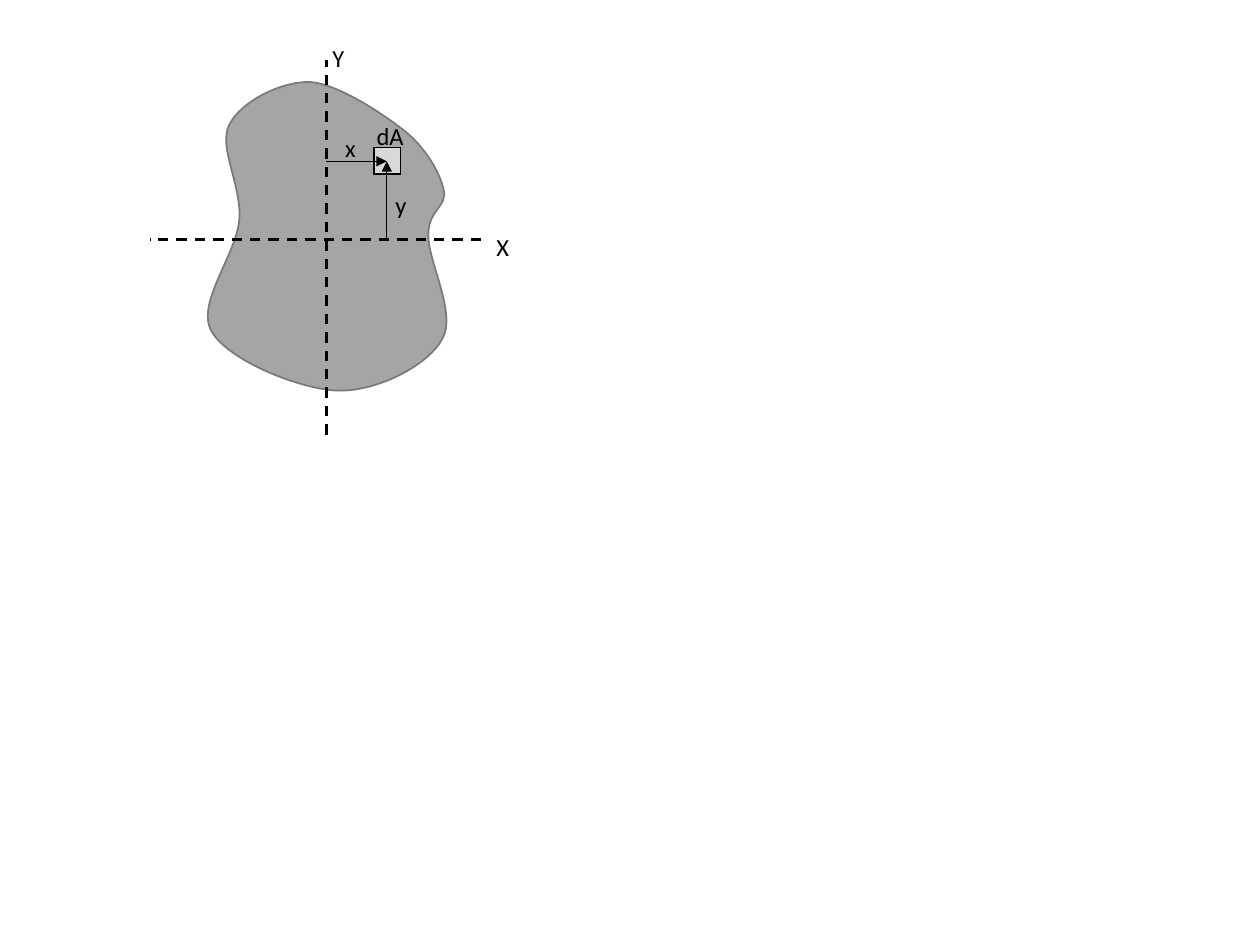
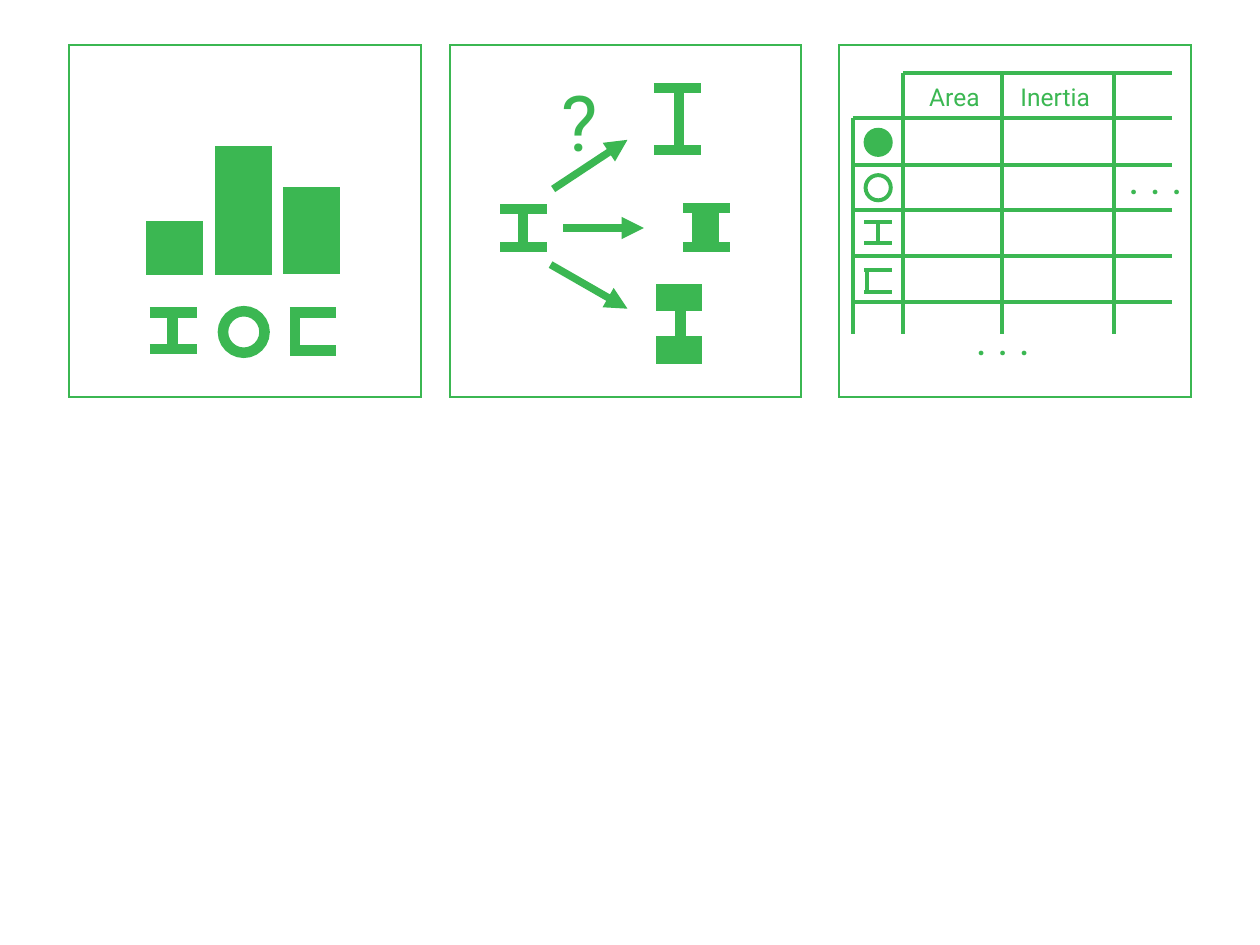
from dataclasses import dataclass
from lxml.etree import SubElement
from pptx import Presentation
from pptx.dml.color import RGBColor
from pptx.enum.dml import MSO_LINE
from pptx.enum.shapes import MSO_CONNECTOR, MSO_SHAPE
from pptx.enum.text import PP_ALIGN
from pptx.oxml.ns import qn
from pptx.util import Inches, Pt


@dataclass
class Theme:
    black: str = "000000"
    gray: str = "A5A5A5"
    edge: str = "7A7A7A"
    pale: str = "D9D9D9"
    green: str = "3BB752"
    plain: str = "Calibri"
    sign: str = "Roboto"
    small: float = 14
    dots: float = 24
    huge: float = 44
    hair: float = 0.5
    thin: float = 1
    axis: float = 1.5
    grid: float = 2.25
    arrow: float = 4.25
    bold: float = 6
    stout: float = 15.25
    wide: float = 15.75


theme = Theme()


def write(text, slide, box, font=theme.sign, size=theme.small,
          color=theme.green, align=PP_ALIGN.CENTER):
    frame = slide.shapes.add_textbox(*map(Inches, box)).text_frame
    frame.word_wrap = True
    par = frame.paragraphs[0]
    par.alignment = align
    run = par.add_run()
    run.text = text
    run.font.name = font
    run.font.size = Pt(size)
    run.font.color.rgb = RGBColor.from_string(color)


def link(slide, ends, width, color=theme.green, dash=None, head=False):
    line = slide.shapes.add_connector(MSO_CONNECTOR.STRAIGHT, *map(Inches, ends))
    line.line.width = Pt(width)
    line.line.color.rgb = RGBColor.from_string(color)
    if dash:
        line.line.dash_style = dash
    props = line._element.spPr
    if head:
        SubElement(props.find(qn("a:ln")), qn("a:tailEnd"), type="triangle")
    SubElement(props, qn("a:effectLst"))


deck = Presentation()
deck.slide_width, deck.slide_height = Inches(10), Inches(7.5)
blank = deck.slide_layouts[6]

area = deck.slides.add_slide(blank)
start = (3.2, 1.03)
curves = [
    [(3.02, 0.89), (2.67, 0.66), (2.45, 0.65)],
    [(2.22, 0.65), (1.91, 0.81), (1.82, 0.99)],
    [(1.73, 1.17), (1.92, 1.47), (1.9, 1.74)],
    [(1.88, 2.02), (1.55, 2.41), (1.68, 2.63)],
    [(1.81, 2.86), (2.38, 3.09), (2.68, 3.1)],
    [(2.99, 3.11), (3.4, 2.9), (3.51, 2.69)],
    [(3.63, 2.49), (3.39, 2.06), (3.4, 1.86)],
    [(3.4, 1.66), (3.56, 1.64), (3.52, 1.5)],
    [(3.49, 1.37), (3.38, 1.17), start],
]
pen = area.shapes.build_freeform(*map(Inches, start))
pen.add_line_segments([tuple(map(Inches, curve[-1])) for curve in curves])
blob = pen.convert_to_shape()
sides = list(blob._element.spPr.iter(qn("a:lnTo")))
for side, curve in zip(sides, curves):
    bend = SubElement(side.getparent(), qn("a:cubicBezTo"))
    for x, y in curve:
        SubElement(bend, qn("a:pt"), x=str(Inches(x) - blob.left),
                   y=str(Inches(y) - blob.top))
    side.getparent().replace(side, bend)

patch = area.shapes.add_shape(
    MSO_SHAPE.RECTANGLE, *map(Inches, (2.97, 1.17, 0.21, 0.21)))
for shape, fill, edge in [(blob, theme.gray, theme.edge),
                          (patch, theme.pale, theme.black)]:
    shape.shadow.inherit = False
    shape.fill.solid()
    shape.fill.fore_color.rgb = RGBColor.from_string(fill)
    shape.line.color.rgb = RGBColor.from_string(edge)
    shape.line.width = Pt(theme.thin)
    SubElement(shape._element.spPr.find(qn("a:ln")), qn("a:miter"), lim="800000")

mid_x, mid_y, spot_x, spot_y = 2.59, 1.9, 3.07, 1.28
for ends in [(3.82, mid_y, 1.19, mid_y), (mid_x, 3.45, mid_x, 0.48)]:
    link(area, ends, theme.axis, theme.black, dash=MSO_LINE.DASH)
for ends in [(spot_x, mid_y, spot_x, spot_y), (mid_x, spot_y, spot_x, spot_y)]:
    link(area, ends, theme.hair, theme.black, head=True)
for text, left, top, width in [
    ("Y", 2.54, 0.29, 0.35),
    ("X", 3.84, 1.79, 0.35),
    ("dA", 2.89, 0.91, 0.44),
    ("y", 3.04, 1.46, 0.35),
    ("x", 2.64, 1.01, 0.35),
]:
    write(text, area, (left, top, width, 0.34), font=theme.plain,
          color=theme.black, align=PP_ALIGN.LEFT)

icons = deck.slides.add_slide(blank)
rect, oval = MSO_SHAPE.RECTANGLE, MSO_SHAPE.OVAL
forms = [(rect, (left, 0.36, 2.79, 2.79), False, theme.thin)
         for left in (0.55, 3.57, 6.66)]
forms += [(rect, (left, top, 0.37, tall), True, theme.bold)
          for left, top, tall in [(1.2, 1.8, 0.34), (1.75, 1.2, 0.94), (2.29, 1.53, 0.6)]]
forms += [
    (oval, (1.77, 2.47, 0.33, 0.33), False, theme.bold),
    (oval, (6.87, 1.03, 0.2, 0.2), True, theme.grid),
    (oval, (6.87, 1.39, 0.2, 0.2), False, theme.grid),
]
for kind, box, solid, width in forms:
    shape = icons.shapes.add_shape(kind, *map(Inches, box))
    shape.shadow.inherit = False
    if solid:
        shape.fill.solid()
        shape.fill.fore_color.rgb = RGBColor.from_string(theme.green)
    else:
        shape.fill.background()
    shape.line.color.rgb = RGBColor.from_string(theme.green)
    shape.line.width = Pt(width)
    SubElement(shape._element.spPr.find(qn("a:ln")), qn("a:miter"), lim="800000")

for left, top, base, span, inset, flange, web in [
    (1.19, 2.48, 2.77, 0.37, 0.18, theme.bold, theme.bold),
    (2.3, 2.48, 2.78, 0.37, 0.04, theme.bold, theme.bold),
    (3.97, 1.66, 1.96, 0.37, 0.18, theme.bold, theme.bold),
    (5.19, 0.7, 1.19, 0.37, 0.2, theme.bold, theme.bold),
    (5.42, 1.65, 1.96, 0.37, 0.18, theme.bold, theme.stout),
    (5.21, 2.36, 2.78, 0.36, 0.19, theme.wide, theme.bold),
    (6.86, 1.76, 1.93, 0.22, 0.11, theme.grid, theme.grid),
    (6.86, 2.14, 2.32, 0.22, 0.02, theme.grid, theme.grid),
]:
    for y in (top, base):
        link(icons, (left, y, left + span, y), flange)
    link(icons, (left + inset, base, left + inset, top), web)

for ends in [(4.37, 2.1, 4.98, 2.45), (4.47, 1.81, 5.11, 1.81), (4.39, 1.5, 4.98, 1.11)]:
    link(icons, ends, theme.arrow, head=True)

for row, y in enumerate((0.58, 0.94, 1.31, 1.67, 2.03, 2.4)):
    link(icons, (6.77 if row else 7.17, y, 9.3, y), theme.grid)
for x, top in [(6.77, 0.94), (7.17, 0.58), (7.95, 0.58), (8.84, 0.58)]:
    link(icons, (x, top, x, 2.65), theme.grid)

write("?", icons, (4.36, 0.54, 0.75, 0.84), size=theme.huge, align=PP_ALIGN.LEFT)
write("Area", icons, (7.19, 0.6, 0.77, 0.34))
write("Inertia", icons, (7.93, 0.6, 0.89, 0.34))
for left, top in [(8.79, 1.16), (7.58, 2.44)]:
    write(". . .", icons, (left, top, 0.76, 0.5), size=theme.dots)

deck.save("out.pptx")
